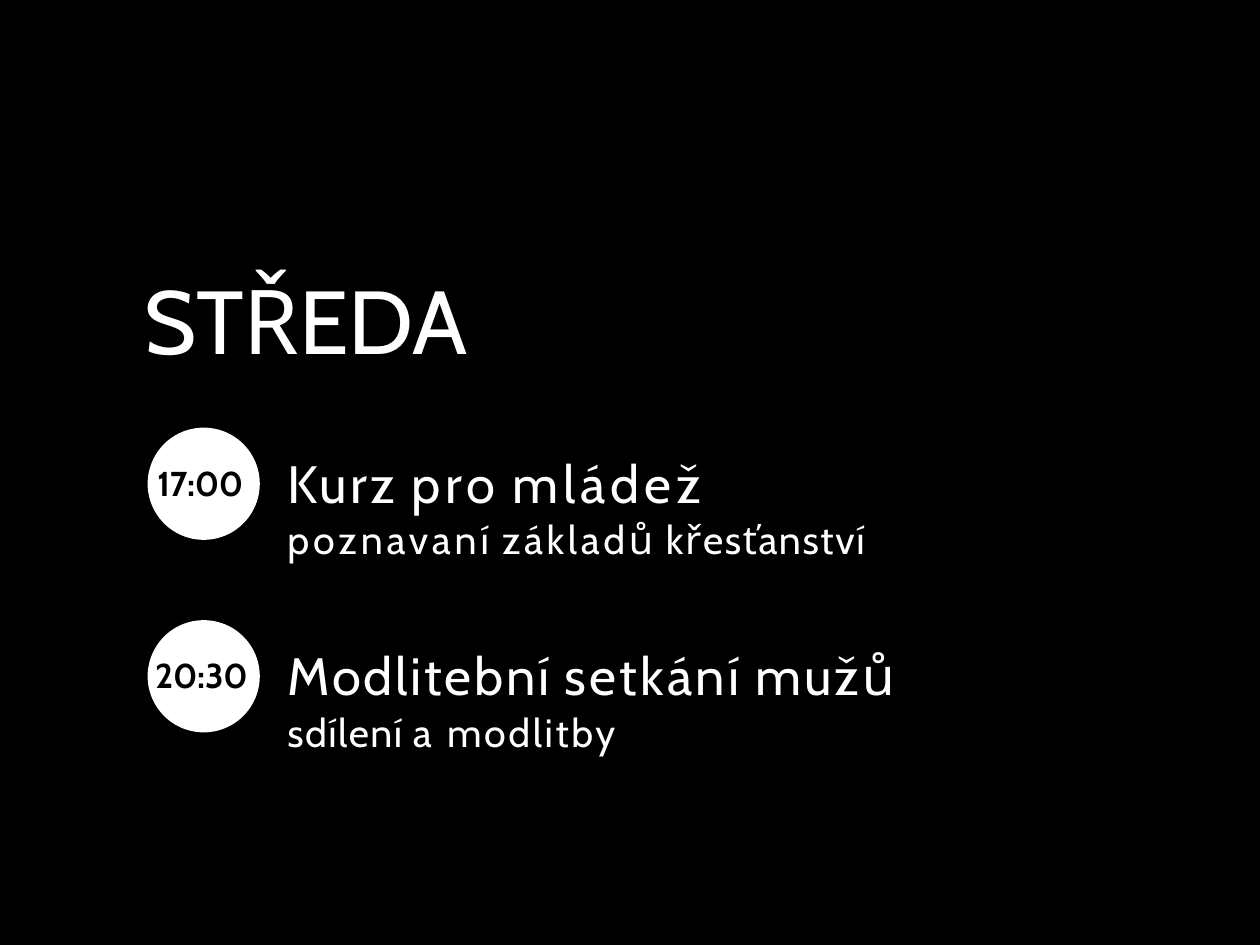
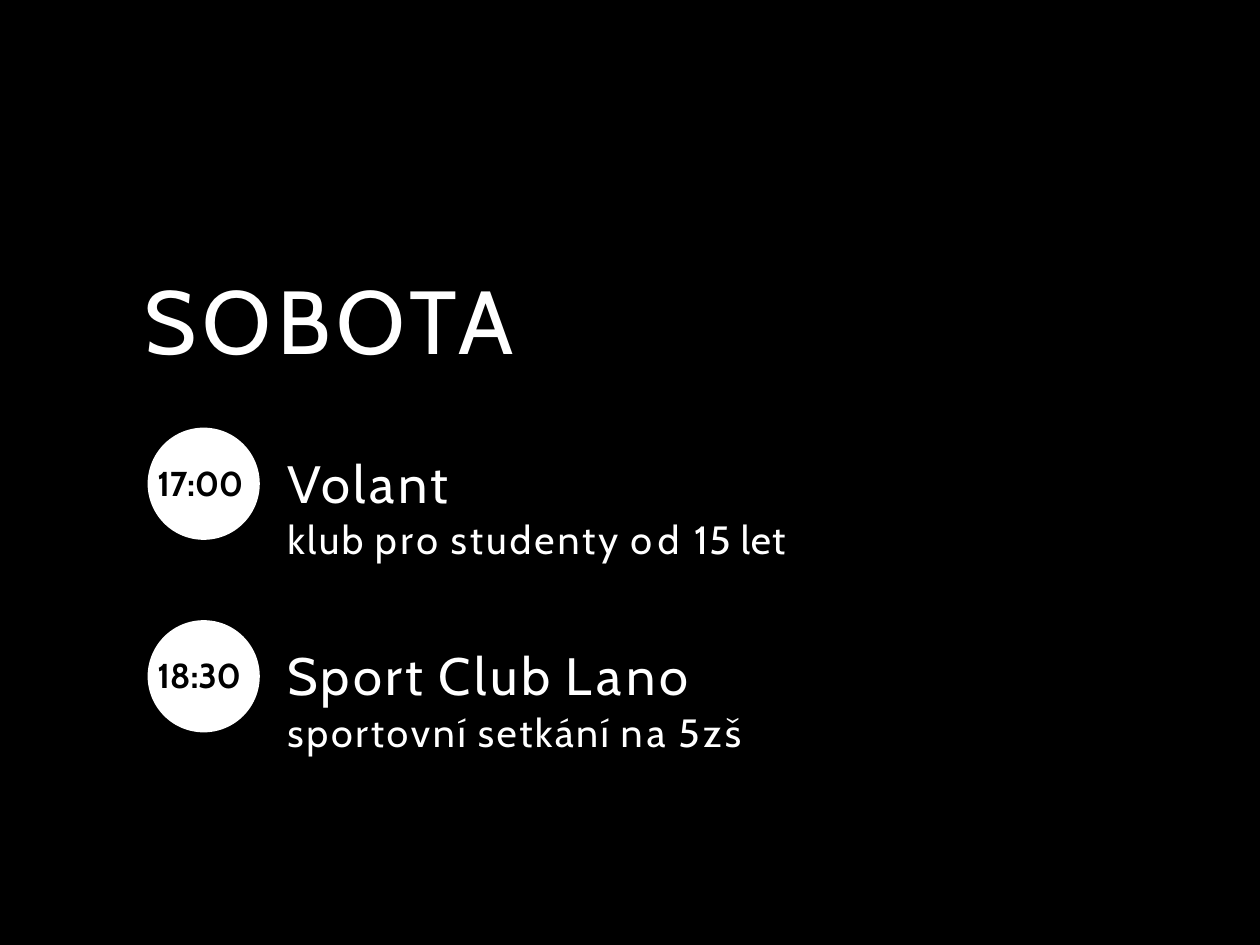
from pptx import Presentation
from pptx.dml.color import RGBColor
from pptx.enum.shapes import MSO_SHAPE
from pptx.enum.text import MSO_AUTO_SIZE
from pptx.util import Inches, Pt

# Shared look
FONT = "Cabin"
BLACK = "000000"
WHITE = "FFFFFF"
TITLE_SIZE, TIME_SIZE, NAME_SIZE, DETAIL_SIZE = 54.5, 21, 32, 24

# Shared layout, in inches
SLIDE_WIDTH, SLIDE_HEIGHT = 10.67, 8
CIRCLE_LEFT, CIRCLE_SIZE = 1.25, 0.95
FIRST_ROW_TOP, ROW_STEP = 3.62, 1.63
EVENT_LEFT = 2.42

# Each day: title, title spacing, events.
# Each event: time, time spacing, time left, text width, name, detail.
# Names and details are words with their letter spacing in points.
DAYS = [
    ("STŘEDA", -0.1, [
        ("17:00", -0.2, 1.32, 5.13,
         [("Kurz", 2.1), ("pro", 3), ("mládež", 3)],
         [("poznavaní", 2.4), ("základů", 2.2), ("křesťanství", 1)]),
        ("20:30", -0.1, 1.3, 5.31,
         [("Modlitební", 1.7), ("setkání", 2), ("mužů", 1.8)],
         [("sdílení", 0.9), ("a", 4), ("modlitby", 1.6)]),
    ]),
    ("SOBOTA", 3.7, [
        ("17:00", -0.2, 1.32, 4.47,
         [("Volant", 2.1)],
         [("klub", 1.4), ("pro", 2.3), ("studenty", 1.8),
          ("od", 3.5), ("15", 0.8), ("let", 0.6)]),
        ("18:30", -0.1, 1.32, 4.07,
         [("Sport", 2), ("Club", 2.1), ("Lano", 2.7)],
         [("sportovní", 1.7), ("setkání", 1.5), ("na", 2.5), ("5zš", 2)]),
    ]),
]


def paint(color_format, color):
    color_format.rgb = RGBColor.from_string(color)


def add_filled_shape(slide, kind, left, top, width, height, color):
    shape = slide.shapes.add_shape(
        kind, Inches(left), Inches(top), Inches(width), Inches(height))
    shape.shadow.inherit = False
    shape.fill.solid()
    paint(shape.fill.fore_color, color)
    shape.line.fill.background()
    return shape


def add_run(paragraph, text, size, color, bold, spacing):
    run = paragraph.add_run()
    run.text = text
    run.font.name = FONT
    run.font.size = Pt(size)
    run.font.bold = bold
    paint(run.font.color, color)
    run._r.get_or_add_rPr().set("spc", str(round(spacing * 100)))


def add_text(slide, left, top, width, height, lines, color=WHITE,
             bold=False, space_before=1):
    """Add a text box; each line is a pair of font size and spaced words."""
    box = slide.shapes.add_textbox(
        Inches(left), Inches(top), Inches(width), Inches(height))
    frame = box.text_frame
    frame.word_wrap = True
    frame.auto_size = MSO_AUTO_SIZE.SHAPE_TO_FIT_TEXT
    frame.margin_left = frame.margin_right = frame.margin_bottom = 0
    frame.margin_top = Pt(space_before)
    for line_index, (size, words) in enumerate(lines):
        paragraph = frame.add_paragraph() if line_index else frame.paragraphs[0]
        paragraph.space_before = Pt(space_before)
        paragraph_properties = paragraph._p.get_or_add_pPr()
        paragraph_properties.set("marL", str(Pt(1)))
        paragraph_properties.set("indent", "0")
        for word_index, (word, spacing) in enumerate(words):
            # Spaces between words keep their normal width
            if word_index:
                add_run(paragraph, " ", size, color, bold, 0)
            add_run(paragraph, word, size, color, bold, spacing)


def add_title(slide, title, spacing):
    add_text(slide, 1.21, 2.23, 3.19, 0.93,
             [(TITLE_SIZE, [(title, spacing)])])


def add_time_circle(slide, top, time, spacing, time_left):
    add_filled_shape(slide, MSO_SHAPE.OVAL, CIRCLE_LEFT, top,
                     CIRCLE_SIZE, CIRCLE_SIZE, WHITE)
    time_width = 2 * (CIRCLE_LEFT + 0.5 - time_left)
    add_text(slide, time_left, top + 0.27, time_width, 0.38,
             [(TIME_SIZE, [(time, spacing)])],
             color=BLACK, bold=True, space_before=1.3)


def add_event(slide, top, event):
    time, spacing, time_left, width, name, detail = event
    add_time_circle(slide, top, time, spacing, time_left)
    add_text(slide, EVENT_LEFT, top + 0.18, width, 0.98,
             [(NAME_SIZE, name), (DETAIL_SIZE, detail)])


def add_day(presentation, title, spacing, events):
    slide = presentation.slides.add_slide(presentation.slide_layouts[6])
    add_title(slide, title, spacing)
    for row, event in enumerate(events):
        add_event(slide, FIRST_ROW_TOP + row * ROW_STEP, event)


def move_backdrop_to_master(presentation):
    """Draw the black backdrop once, behind everything on the master."""
    backdrop = add_filled_shape(presentation.slides[0], MSO_SHAPE.RECTANGLE,
                                0, 0, SLIDE_WIDTH, SLIDE_HEIGHT, BLACK)
    presentation.slide_master.shapes._spTree.insert(2, backdrop._element)


def main():
    presentation = Presentation()
    presentation.slide_width = Inches(SLIDE_WIDTH)
    presentation.slide_height = Inches(SLIDE_HEIGHT)
    for day in DAYS:
        add_day(presentation, *day)
    move_backdrop_to_master(presentation)
    presentation.save("out.pptx")


if __name__ == "__main__":
    main()
